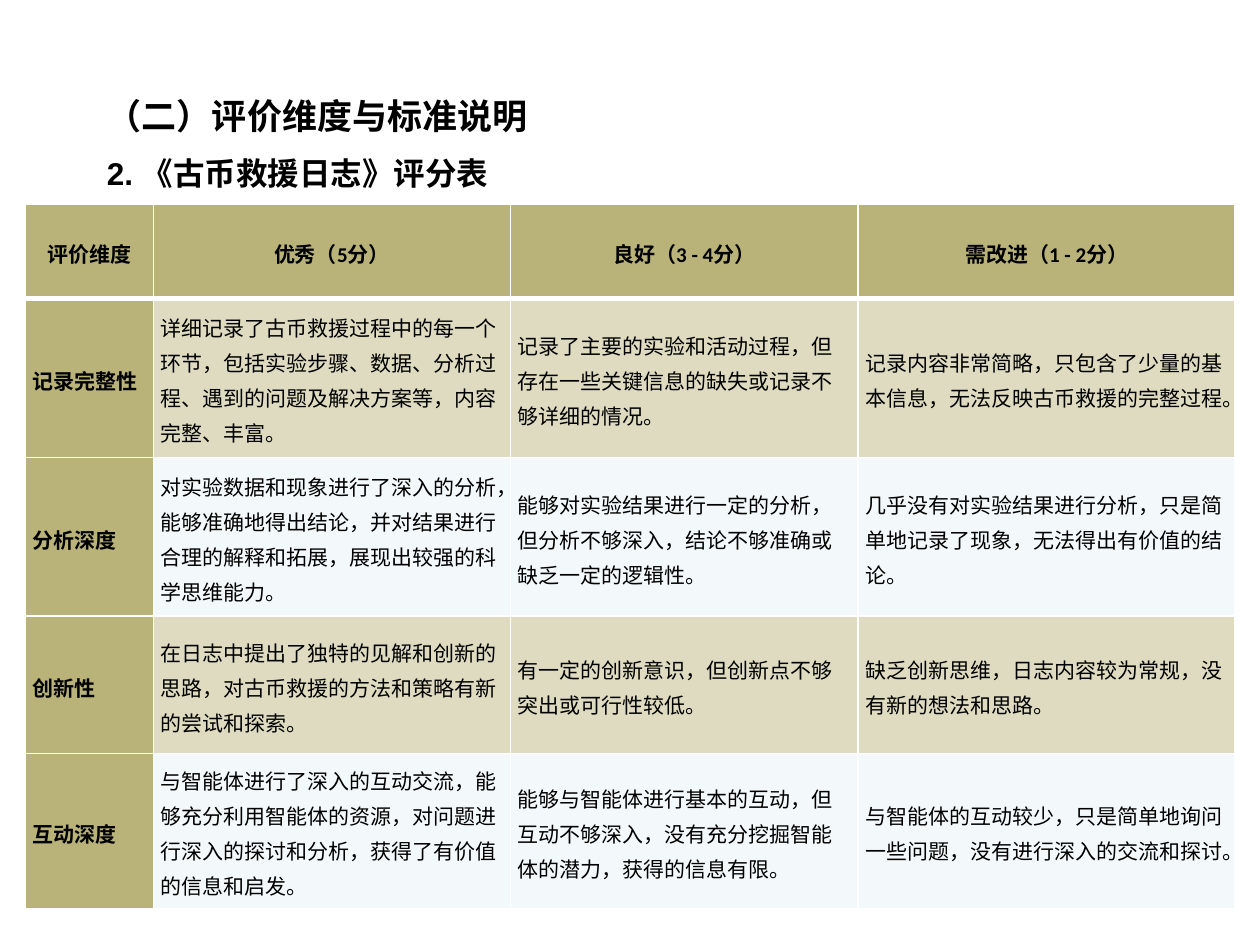
from lxml.etree import SubElement
from pptx import Presentation
from pptx.dml.color import RGBColor
from pptx.enum.text import MSO_ANCHOR, MSO_AUTO_SIZE, PP_ALIGN
from pptx.oxml.ns import qn
from pptx.util import Cm, Pt

COLORS = {
    "text": "000000",
    "border": "FFFFFF",
    "header": "B9B379",
    "odd_row": "DEDBC0",
    "even_row": "F3F9FA",
}
HEADING = [("（二）评价维度与标准说明", 20), ("2. 《古币救援日志》评分表", 18)]
COLUMN_WIDTHS = [2.59, 7.2, 7.01, 7.6]
ROW_HEIGHTS = [1.9, 3.2, 3.2, 2.77, 2.77]
SCORES = [
    ["评价维度", "优秀（5分）", "良好（3 - 4分）", "需改进（1 - 2分）"],
    ["记录完整性",
     "详细记录了古币救援过程中的每一个环节，包括实验步骤、数据、分析过程、遇到的问题及解决方案等，内容完整、丰富。",
     "记录了主要的实验和活动过程，但存在一些关键信息的缺失或记录不够详细的情况。",
     "记录内容非常简略，只包含了少量的基本信息，无法反映古币救援的完整过程。"],
    ["分析深度",
     "对实验数据和现象进行了深入的分析，能够准确地得出结论，并对结果进行合理的解释和拓展，展现出较强的科学思维能力。",
     "能够对实验结果进行一定的分析，但分析不够深入，结论不够准确或缺乏一定的逻辑性。",
     "几乎没有对实验结果进行分析，只是简单地记录了现象，无法得出有价值的结论。"],
    ["创新性",
     "在日志中提出了独特的见解和创新的思路，对古币救援的方法和策略有新的尝试和探索。",
     "有一定的创新意识，但创新点不够突出或可行性较低。",
     "缺乏创新思维，日志内容较为常规，没有新的想法和思路。"],
    ["互动深度",
     "与智能体进行了深入的互动交流，能够充分利用智能体的资源，对问题进行深入的探讨和分析，获得了有价值的信息和启发。",
     "能够与智能体进行基本的互动，但互动不够深入，没有充分挖掘智能体的潜力，获得的信息有限。",
     "与智能体的互动较少，只是简单地询问一些问题，没有进行深入的交流和探讨。"],
]


def color(name):
    return RGBColor.from_string(COLORS[name])


def format_run(r, font, size, bold):
    r.font.name = font
    r.font.size = Pt(size)
    r.font.bold = bold
    r.font.color.rgb = color("text")


def set_heading(s):
    sp = s.shapes.title
    sp.left, sp.top, sp.width, sp.height = Cm(1.9), Cm(1.52), Cm(20.02), Cm(2.59)
    tf = sp.text_frame
    tf.text = "\n".join(text for text, _ in HEADING)
    tf.word_wrap = True
    tf.auto_size = MSO_AUTO_SIZE.NONE
    tf.vertical_anchor = MSO_ANCHOR.TOP
    for i, (p, (_, size)) in enumerate(zip(tf.paragraphs, HEADING)):
        p.alignment = PP_ALIGN.JUSTIFY
        p.line_spacing = 1.3
        p.space_before = Pt(0.2 * size if i else 0)
        format_run(p.runs[0], "Arial", size, True)


def set_borders(cell, top, bottom):
    """Draw the four cell borders; top and bottom are widths in points."""
    tc_pr = cell._tc.get_or_add_tcPr()
    for side, width in (("L", 1), ("R", 1), ("T", top), ("B", bottom)):
        ln = SubElement(tc_pr, qn(f"a:ln{side}"), w=str(Pt(width)))
        fill = SubElement(ln, qn("a:solidFill"))
        SubElement(fill, qn("a:srgbClr"), val=COLORS["border"])


def set_cell(cell, text, row, col):
    is_header = row == 0
    set_borders(cell, 3 if row == 1 else 1, 3 if is_header else 1)
    if is_header or col == 0:
        fill = "header"
    else:
        fill = "odd_row" if row % 2 else "even_row"
    cell.fill.solid()
    cell.fill.fore_color.rgb = color(fill)
    cell.vertical_anchor = MSO_ANCHOR.MIDDLE
    cell.margin_left = cell.margin_right = Cm(0.15)
    cell.margin_top = cell.margin_bottom = Cm(0.15)
    cell.text_frame.text = text
    p = cell.text_frame.paragraphs[0]
    p.alignment = PP_ALIGN.CENTER if is_header else PP_ALIGN.LEFT
    p.line_spacing = 1.15
    p.space_after = Pt(8)
    format_run(p.runs[0], "Calibri", 12, is_header or col == 0)


def add_score_table(s):
    table = s.shapes.add_table(
        len(SCORES), len(COLUMN_WIDTHS), Cm(0.5), Cm(4.12),
        Cm(sum(COLUMN_WIDTHS)), Cm(sum(ROW_HEIGHTS))).table
    for column, width in zip(table.columns, COLUMN_WIDTHS):
        column.width = Cm(width)
    for row, height in zip(table.rows, ROW_HEIGHTS):
        row.height = Cm(height)
    for i, texts in enumerate(SCORES):
        for j, text in enumerate(texts):
            set_cell(table.cell(i, j), text, i, j)


def main():
    prs = Presentation()
    prs.slide_width, prs.slide_height = Cm(25.4), Cm(19.05)
    s = prs.slides.add_slide(prs.slide_layouts[5])
    set_heading(s)
    add_score_table(s)
    prs.save("out.pptx")


if __name__ == "__main__":
    main()
